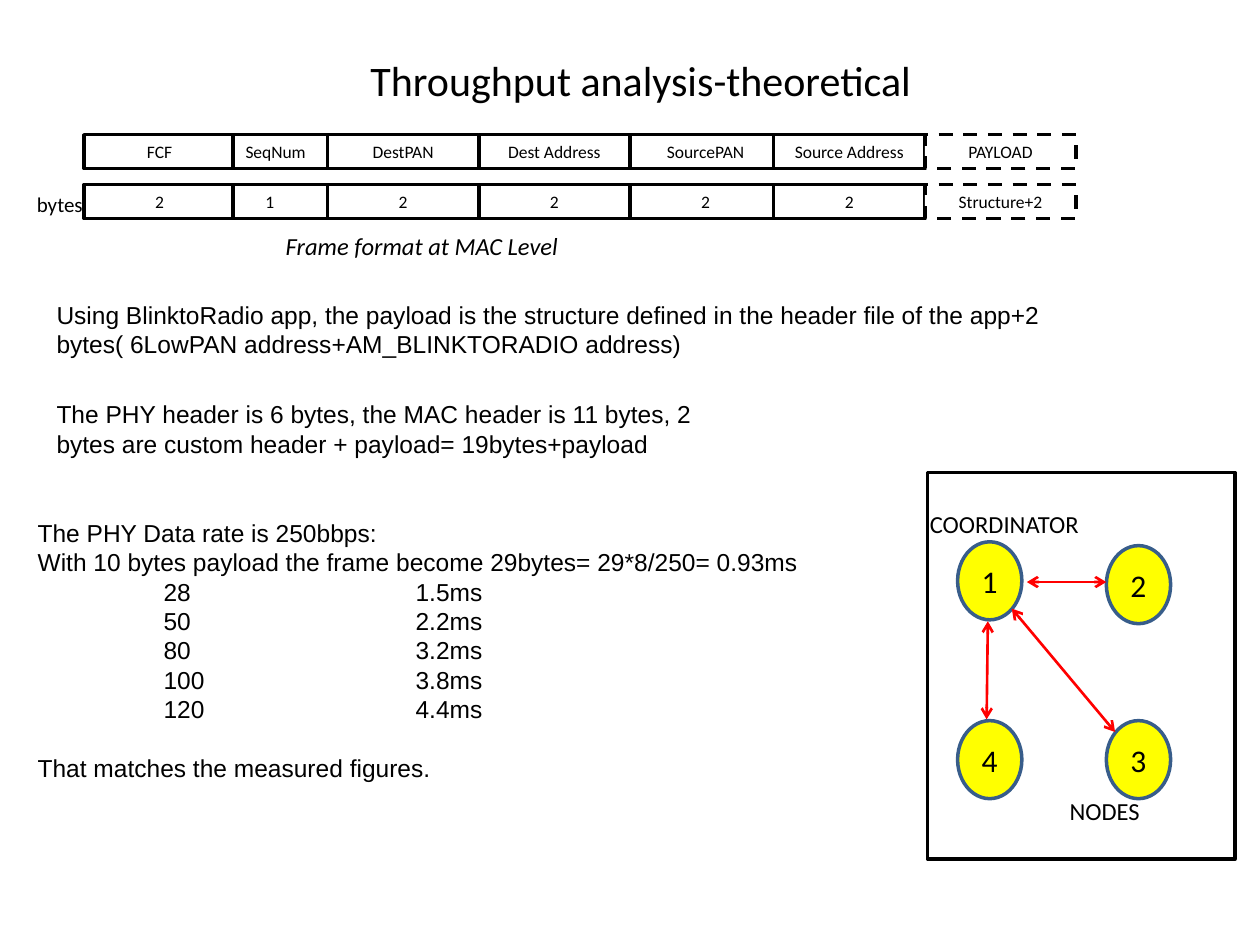
"""Build the throughput analysis slide with its MAC frame rows and node diagram."""
from lxml import etree
from pptx import Presentation
from pptx import util as u
from pptx.dml.color import RGBColor
from pptx.enum import dml, shapes, text
from pptx.oxml.ns import qn

COLOURS = {"black": "000000", "white": "FFFFFF", "yellow": "FFFF00",
           "blue": "385D8A", "red": "FF0000"}
LEFT, CENTER = text.PP_ALIGN.LEFT, text.PP_ALIGN.CENTER


def write(box, lines, size, font="Calibri", align=LEFT, anchor=text.MSO_ANCHOR.TOP):
    frame = box.text_frame
    frame.word_wrap = True
    frame.vertical_anchor = anchor
    for index, line in enumerate(lines):
        para = frame.paragraphs[0] if index == 0 else frame.add_paragraph()
        para.alignment = align
        if font == "Arial":
            para.line_spacing = u.Pt(16.8)
        span = para.add_run()
        span.text = line
        span.font.size = u.Pt(size)
        span.font.name = font
        span.font.color.rgb = RGBColor.from_string(COLOURS["black"])
    return frame


def add_outlined(parent, kind, place, line, fill=None):
    shape = parent.add_shape(kind, *map(u.Pt, place))
    shape.shadow.inherit = False
    if fill:
        shape.fill.solid()
        shape.fill.fore_color.rgb = RGBColor.from_string(COLOURS[fill])
    else:
        shape.fill.background()
    shape.line.color.rgb = RGBColor.from_string(COLOURS[line])
    shape.line.width = u.Pt(2)
    return shape


deck = Presentation()
deck.slide_width, deck.slide_height = u.Pt(720), u.Pt(540)
page = deck.slides.add_slide(deck.slide_layouts[5])

title = page.shapes.title
title.left, title.top, title.width, title.height = map(u.Pt, (42.5, 20.2, 647.3, 51.1))
write(title, ["Throughput analysis-theoretical"], 24, align=CENTER,
      anchor=text.MSO_ANCHOR.MIDDLE)

add_outlined(page.shapes, shapes.MSO_SHAPE.RECTANGLE, (530, 270, 175.7, 221), "black")

nodes = [("1", 547.2, 309.6), ("2", 632.2, 311.8), ("3", 632.2, 411.8), ("4", 547.2, 411.8)]
for label, left, top in nodes:
    node = add_outlined(page.shapes, shapes.MSO_SHAPE.OVAL, (left, top, 36.7, 44.6),
                        "blue", "yellow")
    write(node, [label], 18, align=CENTER, anchor=text.MSO_ANCHOR.MIDDLE)

links = [(586.8, 332.6, 632.2, 332.6), (563.8, 411.1, 564.5, 355), (637.2, 418.3, 578.2, 347.8)]
for ends in links:
    link = page.shapes.add_connector(shapes.MSO_CONNECTOR.STRAIGHT, *map(u.Pt, ends))
    link.line.color.rgb = RGBColor.from_string(COLOURS["red"])
    link.line.width = u.Pt(1.5)
    outline = link.line._get_or_add_ln()
    for end in ("a:headEnd", "a:tailEnd"):
        etree.SubElement(outline, qn(end), type="arrow")
    etree.SubElement(link._element.spPr, qn("a:effectLst"))

columns = [(48, 86.4), (133.2, 73.4), (187.2, 86.4), (273.6, 86.4),
           (360, 86.4), (442.1, 86.4), (528.5, 86.4)]
frame_rows = [
    (77, ["FCF", "SeqNum", "DestPAN", "Dest Address", "SourcePAN", "Source Address", "PAYLOAD"]),
    (105.5, ["2", "1", "2", "2", "2", "2", "Structure+2"]),
]
for top, labels in frame_rows:
    row = page.shapes.add_group_shape()
    for (left, width), label in zip(columns, labels):
        cell = add_outlined(row.shapes, shapes.MSO_SHAPE.RECTANGLE,
                            (left, top, width, 19.4), "black", "white")
        narrow = width < 80
        frame = write(cell, [label], 10, align=LEFT if narrow else CENTER)
        if narrow and label == "1":
            frame.margin_left = u.Pt(18.5)
        if label in ("PAYLOAD", "Structure+2"):
            cell.line.dash_style = dml.MSO_LINE.DASH

notes = [
    ((604.1, 451.4, 56.9, 24.5), "NODES", 14, "Calibri", LEFT),
    ((524.2, 287.3, 113.8, 24.5), "COORDINATOR", 14, "Calibri", LEFT),
    ((8.6, 105.8, 51.1, 21.6), "bytes", 12, "Calibri", CENTER),
    ((25.2, 167.8, 668.9, 41), "Using BlinktoRadio app, the payload is the structure defined in the "
     "header file of the app+2 bytes( 6LowPAN address+AM_BLINKTORADIO address)", 14, "Arial", LEFT),
    ((25.2, 224.6, 414, 41), "The PHY header is 6 bytes, the MAC header is 11 bytes, 2 bytes are "
     "custom header + payload= 19bytes+payload", 14, "Arial", LEFT),
]
for place, words, size, font, align in notes:
    box = page.shapes.add_textbox(*map(u.Pt, place))
    write(box, [words], size, font, align)

caption = page.shapes.add_textbox(*map(u.Pt, (156.2, 128.2, 170.6, 24.5)))
frame = write(caption, ["Frame format at MAC Level"], 14)
frame.word_wrap = False
frame.paragraphs[0].runs[0].font.italic = True

timings = [(28, "1.5ms"), (50, "2.2ms"), (80, "3.2ms"), (100, "3.8ms"), (120, "4.4ms")]
lines = ["The PHY Data rate is 250bbps:",
         "With 10 bytes payload the frame become 29bytes= 29*8/250= 0.93ms"]
lines += [f"\t{payload}\t{delay}" for payload, delay in timings]
lines.append("That matches the measured figures.")
rates = page.shapes.add_textbox(*map(u.Pt, (14.4, 292.3, 510.5, 192.2)))
frame = write(rates, lines, 14, "Arial")
for para in frame.paragraphs[2:-1]:
    stops = etree.SubElement(para._p.get_or_add_pPr(), qn("a:tabLst"))
    for stop in (72, 216):
        etree.SubElement(stops, qn("a:tab"), pos=str(u.Pt(stop)), algn="l")
frame.paragraphs[-1].space_before = u.Pt(16.8)

deck.save("out.pptx")
